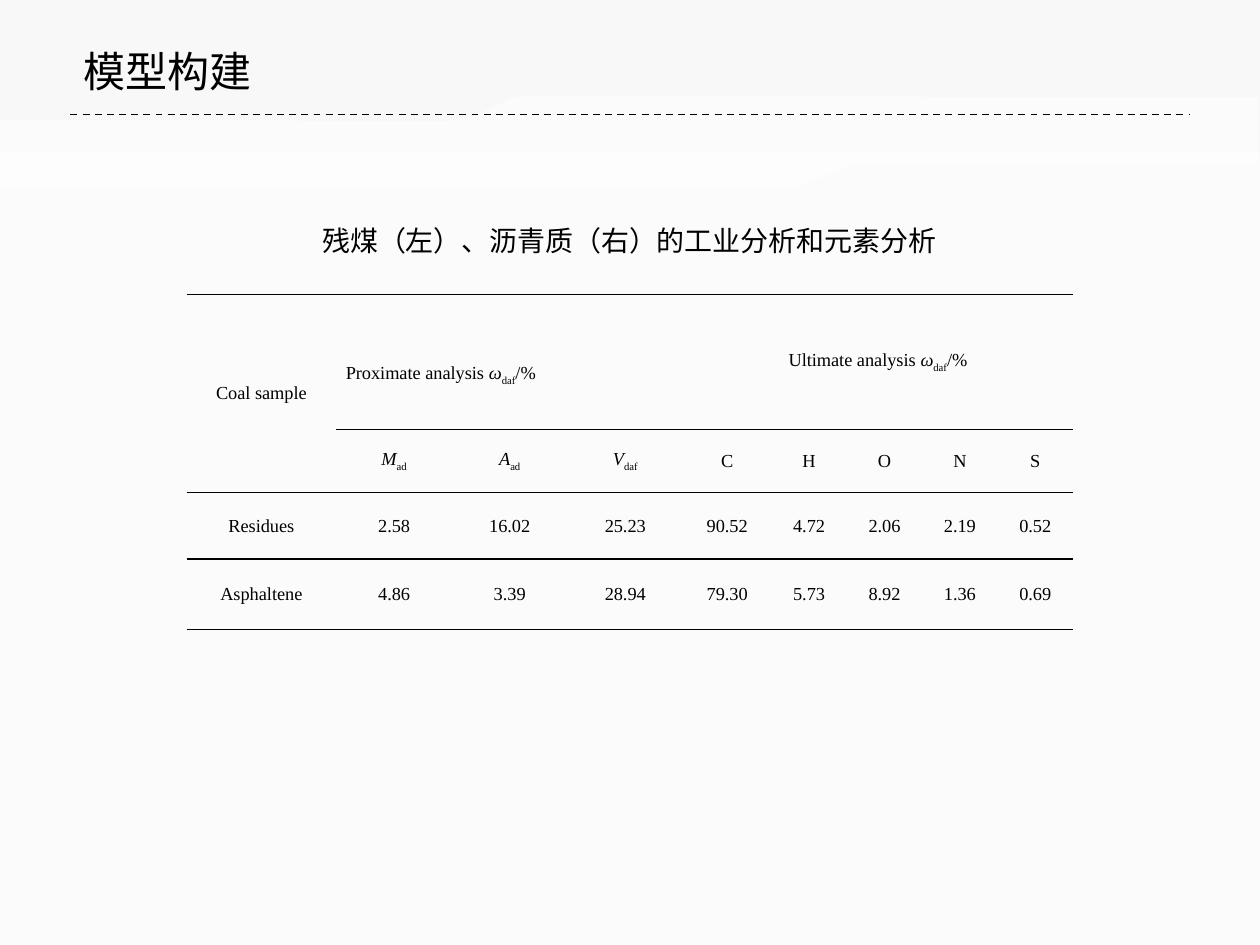
from lxml.etree import SubElement
from pptx import Presentation
from pptx.dml.color import RGBColor
from pptx.enum.dml import MSO_LINE
from pptx.enum.shapes import MSO_CONNECTOR
from pptx.enum.text import MSO_ANCHOR, MSO_AUTO_SIZE, PP_ALIGN
from pptx.oxml.ns import qn
from pptx.util import Cm, Pt

TITLE = "模型构建"
CAPTION = "残煤（左）、沥青质（右）的工业分析和元素分析"
CJK_FONT = "Noto Sans CJK SC"
TABLE_FONT = "Times New Roman"
BLACK, WHITE, PAGE_COLOR = "000000", "FFFFFF", "F8F8F8"

# A cell is plain text or a tuple of (text, style) spans.
WEIGHT_PERCENT = (("ω", "italic"), ("daf", "sub"), ("/%", ""))
PROXIMATE = (("Proximate analysis ", ""),) + WEIGHT_PERCENT
ULTIMATE = (("Ultimate analysis ", ""),) + WEIGHT_PERCENT
ROWS = [
    ["Coal sample", PROXIMATE, "", "", ULTIMATE, "", "", "", ""],
    ["", (("M", "italic"), ("ad", "sub")), (("A", "italic"), ("ad", "sub")),
     (("V", "italic"), ("daf", "sub")), "C", "H", "O", "N", "S"],
    ["Residues", "2.58", "16.02", "25.23", "90.52", "4.72", "2.06", "2.19", "0.52"],
    ["Asphaltene", "4.86", "3.39", "28.94", "79.30", "5.73", "8.92", "1.36", "0.69"],
]
MERGES = [((0, 0), (1, 0)), ((0, 1), (0, 3)), ((0, 4), (0, 8))]
COLUMN_WIDTHS = [3.02] + [2.33] * 3 + [1.78] + [1.52] * 4
ROW_HEIGHTS = [2.72, 1.27, 1.34, 1.42]

PANEL = [(0, 3.07), (25.4, 3.07), (25.4, 19.05), (0, 19.05)]
BAND = [(25.37, 1.96), (10.6, 1.93), (10.36, 1.96), (9.6, 2.31), (9.04, 2.44),
        (0, 2.41), (0, 3.81), (15.9, 3.81), (16.2, 3.73), (17.12, 3.33),
        (17.58, 3.3), (25.37, 3.3)]


def rgb(code):
    return RGBColor.from_string(code)


def write(frame, text, font=CJK_FONT, size=16, color=BLACK, align=PP_ALIGN.CENTER,
          wrap=True):
    """Fill a text frame with one paragraph of plain or styled spans."""
    frame.word_wrap = wrap
    frame.auto_size = MSO_AUTO_SIZE.NONE
    frame.vertical_anchor = MSO_ANCHOR.MIDDLE
    write_paragraph(frame.paragraphs[0], text, font, size, color, align)


def write_paragraph(para, text, font, size, color, align):
    para.alignment = align
    for content, style in ((text, ""),) if isinstance(text, str) else text:
        span = para.add_run()
        span.text = content
        span.font.name = font
        span.font.size = Pt(size)
        span.font.color.rgb = rgb(color)
        span.font.italic = style == "italic"
        properties = span._r.get_or_add_rPr()
        SubElement(properties, qn("a:ea"), typeface=CJK_FONT)
        if style == "sub":
            properties.set("baseline", "-25000")


def add_veil(page, points):
    """Add a half-transparent white polygon."""
    corners = [(Cm(x), Cm(y)) for x, y in points]
    builder = page.shapes.build_freeform(*corners[0])
    builder.add_line_segments(corners[1:], close=True)
    shape = builder.convert_to_shape()
    shape.shadow.inherit = False
    shape.line.fill.background()
    shape.fill.solid()
    shape.fill.fore_color.rgb = rgb(WHITE)
    color = shape.fill._xPr.find(qn("a:solidFill"))[0]
    SubElement(color, qn("a:alpha"), val="50000")


def rule_cell(cell):
    """Draw lines above and below a cell, none at its sides."""
    properties = cell._tc.get_or_add_tcPr()
    for side in ("lnL", "lnR"):
        SubElement(SubElement(properties, qn(f"a:{side}")), qn("a:noFill"))
    for side in ("lnT", "lnB"):
        line = SubElement(properties, qn(f"a:{side}"), w=str(Pt(1)))
        SubElement(SubElement(line, qn("a:solidFill")), qn("a:srgbClr"), val=BLACK)


def add_analysis_table(page):
    frame = page.shapes.add_table(len(ROWS), len(COLUMN_WIDTHS), Cm(3.76), Cm(5.94),
                                  Cm(sum(COLUMN_WIDTHS)), Cm(sum(ROW_HEIGHTS)))
    table = frame.table
    table.first_row = table.horz_banding = False
    for column, width in zip(table.columns, COLUMN_WIDTHS):
        column.width = Cm(width)
    for row, height in zip(table.rows, ROW_HEIGHTS):
        row.height = Cm(height)
    for first, last in MERGES:
        table.cell(*first).merge(table.cell(*last))
    for row, values in zip(table.rows, ROWS):
        for cell, value in zip(row.cells, values):
            rule_cell(cell)
            cell.fill.background()
            cell.vertical_anchor = MSO_ANCHOR.MIDDLE
            cell.margin_left = cell.margin_right = Cm(0.19)
            cell.margin_top = cell.margin_bottom = 0
            if value:
                align = PP_ALIGN.LEFT if value is PROXIMATE else PP_ALIGN.CENTER
                write_paragraph(cell.text_frame.paragraphs[0], value, TABLE_FONT,
                                10.5, BLACK, align)
    table.cell(0, 1).margin_top = Cm(0.52)


def main():
    deck = Presentation()
    deck.slide_width, deck.slide_height = Cm(25.4), Cm(19.05)
    page = deck.slides.add_slide(deck.slide_layouts[5])
    page.background.fill.solid()
    page.background.fill.fore_color.rgb = rgb(PAGE_COLOR)

    add_veil(page, PANEL)
    add_veil(page, BAND)

    divider = page.shapes.add_connector(MSO_CONNECTOR.STRAIGHT, Cm(1.42), Cm(2.31),
                                        Cm(23.98), Cm(2.31))
    divider.line.color.rgb = rgb(BLACK)
    divider.line.width = Pt(1)
    divider.line.dash_style = MSO_LINE.DASH
    SubElement(divider._element.spPr, qn("a:effectLst"))

    title = page.shapes.title
    title.left, title.top, title.width, title.height = Cm(1.4), Cm(0.79), Cm(3.94), Cm(1.27)
    write(title.text_frame, TITLE, size=24, wrap=False)

    caption = page.shapes.add_textbox(Cm(0.97), Cm(4.2), Cm(23.44), Cm(1.3))
    write(caption.text_frame, CAPTION, font="Arial")

    add_analysis_table(page)
    deck.save("out.pptx")


if __name__ == "__main__":
    main()
